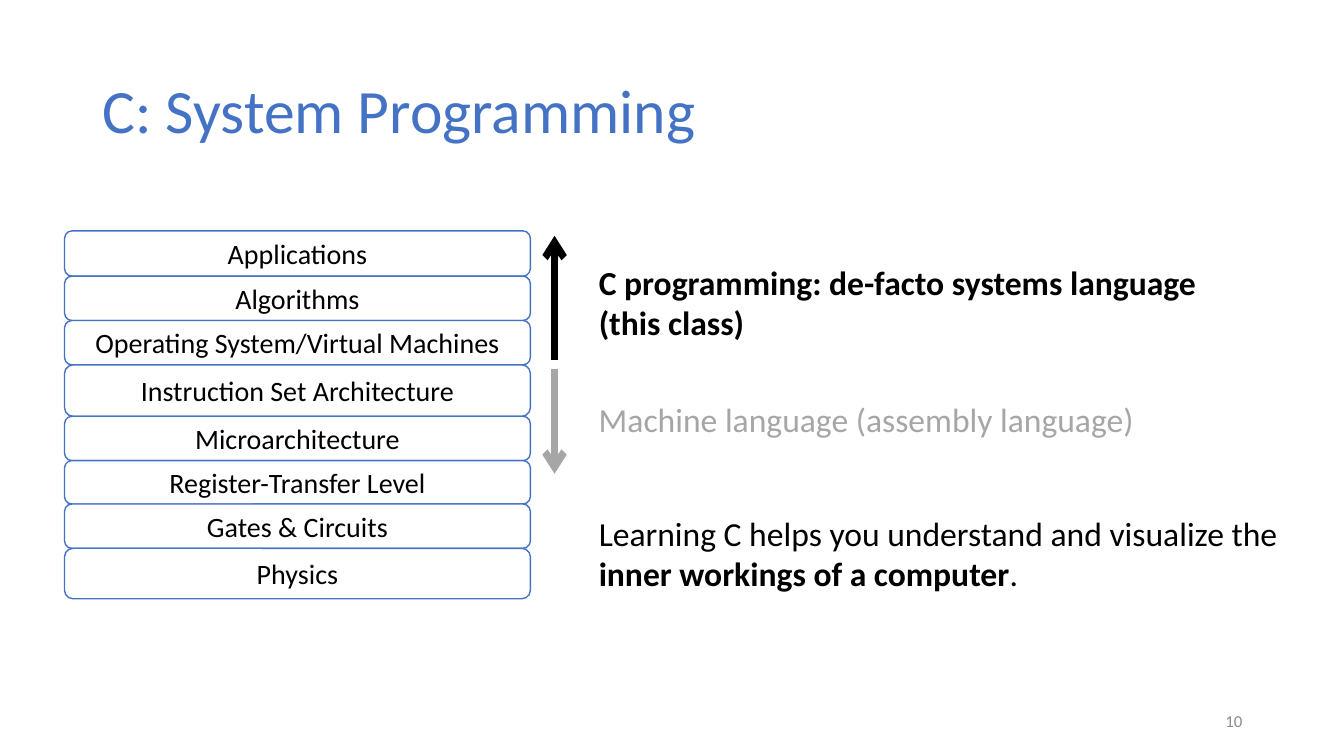
"""Build the slide on C as a system programming language."""
from typing import NamedTuple

from lxml.etree import SubElement
from pptx import Presentation
from pptx.dml.color import RGBColor
from pptx.enum.shapes import MSO_CONNECTOR as Connector, MSO_SHAPE as Shape
from pptx.enum.text import MSO_ANCHOR as Anchor, PP_ALIGN as Align
from pptx.oxml.ns import qn
from pptx.shapes.autoshape import Shape as AutoShape
from pptx.slide import Slide
from pptx.util import Inches, Pt

BLUE = RGBColor(0x44, 0x72, 0xC4)
BLACK = RGBColor(0, 0, 0)
WHITE = RGBColor(0xFF, 0xFF, 0xFF)
GRAY = RGBColor(0xA6, 0xA6, 0xA6)
NUMBER_GRAY = RGBColor(0x8C, 0x8C, 0x8C)
FONT = "Calibri"

STACK_LEFT, STACK_TOP, STACK_WIDTH = 0.64, 2.29, 4.62
ARROW_X = 5.5
NOTE_LEFT = 5.84


class Run(NamedTuple):
    text: str
    bold: bool = False


class Layer(NamedTuple):
    name: str
    height: float


class Arrow(NamedTuple):
    start: float
    end: float
    color: RGBColor


class Note(NamedTuple):
    top: float
    width: float
    height: float
    paragraphs: list[list[Run]]
    color: RGBColor = BLACK
    wrap: bool = False


LAYERS = [
    Layer("Applications", 0.45),
    Layer("Algorithms", 0.44),
    Layer("Operating System/Virtual Machines", 0.44),
    Layer("Instruction Set Architecture", 0.51),
    Layer("Microarchitecture", 0.44),
    Layer("Register-Transfer Level", 0.43),
    Layer("Gates & Circuits", 0.44),
    Layer("Physics", 0.5),
]
ARROWS = [Arrow(3.66, 4.7, GRAY), Arrow(3.57, 2.34, BLACK)]
NOTES = [
    Note(2.55, 6.19, 0.91, [
        [Run("C programming: de-facto systems language", True)],
        [Run("(this class)", True)],
    ]),
    Note(3.91, 5.56, 0.5, [[Run("Machine language (assembly language)")]], GRAY),
    Note(5.04, 7.09, 0.91, [[
        Run("Learning C helps you understand and visualize the "),
        Run("inner workings of a computer", True),
        Run("."),
    ]], wrap=True),
]


def write_text(shape: AutoShape, paragraphs: list[list[Run]], *, size: float,
               color: RGBColor = BLACK, align: Align = Align.LEFT,
               anchor: Anchor = Anchor.MIDDLE, wrap: bool = True,
               line_spacing: float = 1.0) -> None:
    frame = shape.text_frame
    frame.word_wrap = wrap
    frame.vertical_anchor = anchor
    for index, runs in enumerate(paragraphs):
        paragraph = frame.add_paragraph() if index else frame.paragraphs[0]
        paragraph.alignment = align
        paragraph.line_spacing = line_spacing
        for text, bold in runs:
            run = paragraph.add_run()
            run.text = text
            run.font.name = FONT
            run.font.size = Pt(size)
            run.font.bold = bold
            run.font.color.rgb = color


def add_text_box(slide: Slide, left: float, top: float, width: float,
                 height: float) -> AutoShape:
    return slide.shapes.add_textbox(
        Inches(left), Inches(top), Inches(width), Inches(height))


def add_layer(slide: Slide, layer: Layer, top: float) -> None:
    shape = slide.shapes.add_shape(
        Shape.ROUNDED_RECTANGLE, Inches(STACK_LEFT), Inches(top),
        Inches(STACK_WIDTH), Inches(layer.height))
    shape.shadow.inherit = False
    shape.fill.solid()
    shape.fill.fore_color.rgb = WHITE
    shape.line.color.rgb = BLUE
    shape.line.width = Pt(1)
    write_text(shape, [[Run(layer.name)]], size=20, align=Align.CENTER, wrap=False)


def add_arrow(slide: Slide, arrow: Arrow) -> None:
    connector = slide.shapes.add_connector(
        Connector.STRAIGHT, Inches(ARROW_X), Inches(arrow.start),
        Inches(ARROW_X), Inches(arrow.end))
    connector.line.color.rgb = arrow.color
    connector.line.width = Pt(5)
    SubElement(connector.line._get_or_add_ln(), qn("a:tailEnd"), type="arrow")
    SubElement(connector._element.spPr, qn("a:effectLst"))


def add_note(slide: Slide, note: Note) -> None:
    box = add_text_box(slide, NOTE_LEFT, note.top, note.width, note.height)
    write_text(box, note.paragraphs, size=24, color=note.color,
               anchor=Anchor.TOP, wrap=note.wrap)


def main() -> None:
    presentation = Presentation()
    presentation.slide_width = Inches(13.33)
    presentation.slide_height = Inches(7.5)
    slide = presentation.slides.add_slide(presentation.slide_layouts[6])

    title = add_text_box(slide, 0.92, 0.4, 11.5, 1.45)
    write_text(title, [[Run("C: System Programming")]], size=44, color=BLUE,
               line_spacing=0.9)

    top = STACK_TOP
    for layer in LAYERS:
        add_layer(slide, layer, top)
        top += layer.height
    for arrow in ARROWS:
        add_arrow(slide, arrow)
    for note in NOTES:
        add_note(slide, note)

    slide_number = add_text_box(slide, 9.42, 6.95, 3, 0.4)
    write_text(slide_number, [[Run("10")]], size=12, color=NUMBER_GRAY,
               align=Align.RIGHT)
    presentation.save("out.pptx")


if __name__ == "__main__":
    main()
